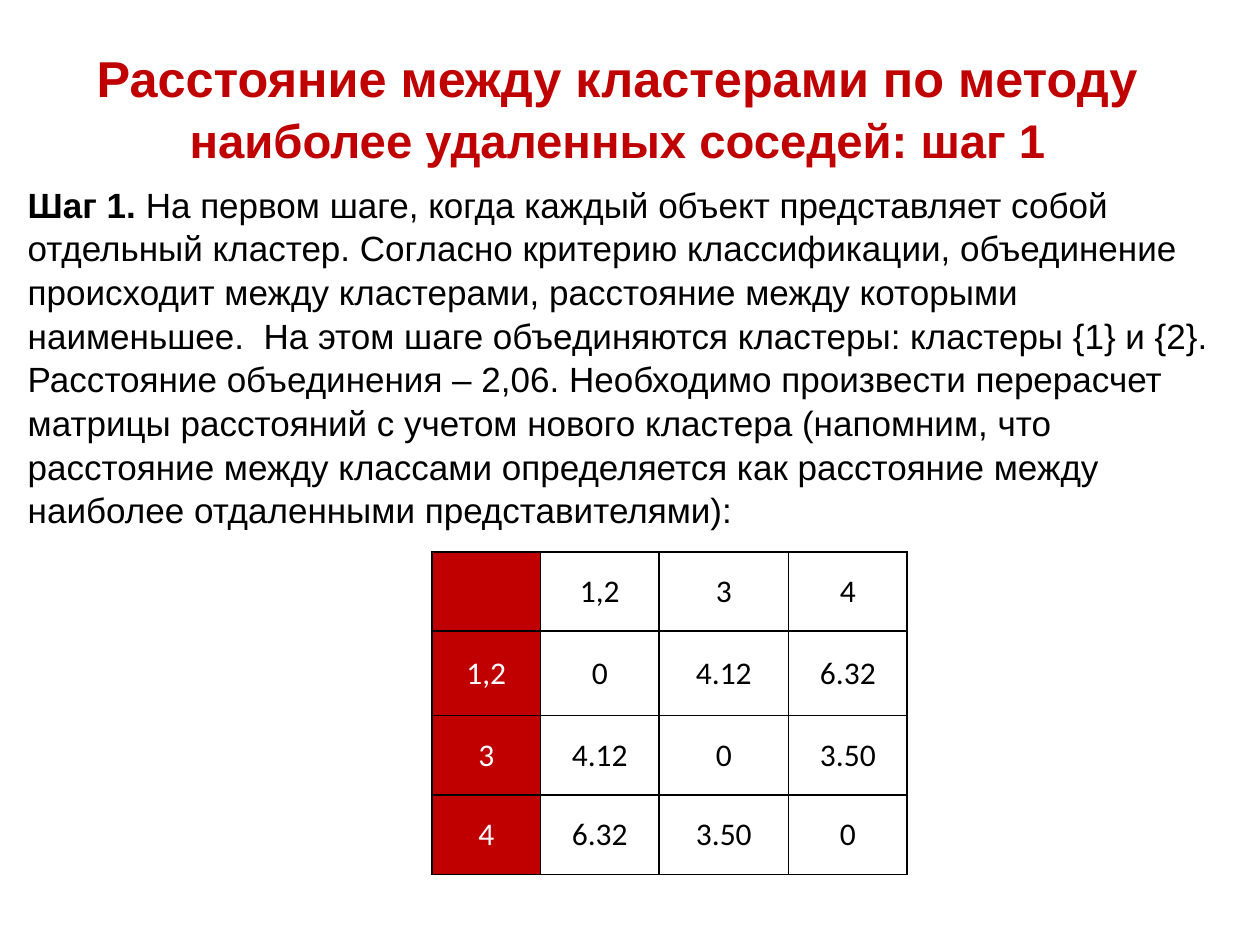
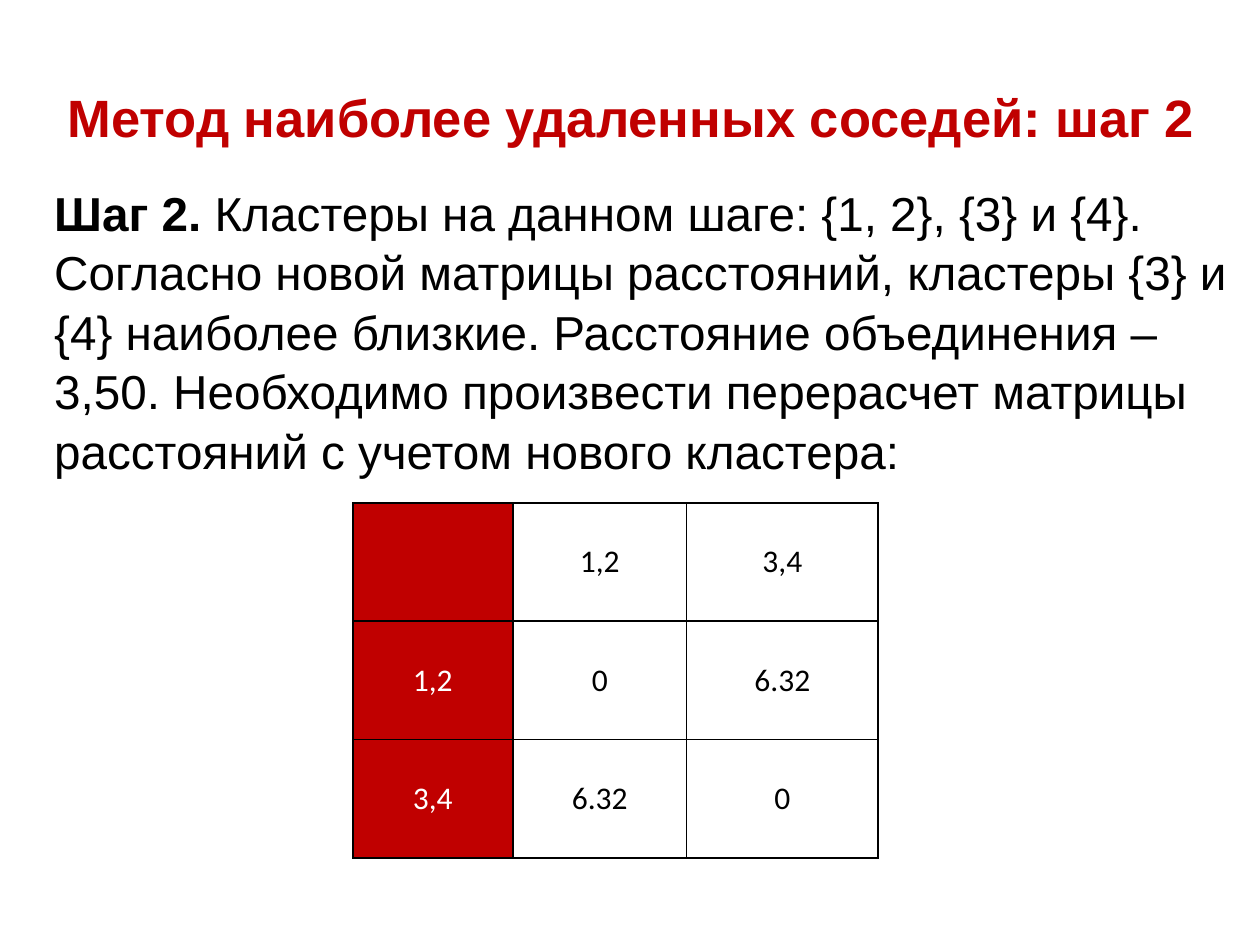
from pptx import Presentation
from pptx.dml.color import RGBColor
from pptx.enum.text import MSO_ANCHOR, MSO_AUTO_SIZE, PP_ALIGN
from pptx.oxml import parse_xml
from pptx.oxml.ns import nsdecls
from pptx.util import Inches, Pt

# Shared look
HUES = {"red": "C00000", "black": "000000", "white": "FFFFFF"}
EDGES = ("lnL", "lnR", "lnT", "lnB")

# What each slide holds: boxes in inches, runs as (text, size)
STEPS = [
    {
        "head": [("Расстояние между кластерами по методу ", 28.8),
                 ("наиболее удаленных соседей: шаг 1", 27)],
        "head_box": (0, 0.36, 9.8, 0.95),
        "lead": "Шаг 1.",
        "text": " На первом шаге, когда каждый объект представляет собой "
                "отдельный кластер. Согласно критерию классификации, "
                "объединение происходит между кластерами, расстояние между "
                "которыми наименьшее.  На этом шаге объединяются кластеры: "
                "кластеры {1} и {2}. Расстояние объединения – 2,06. "
                "Необходимо произвести перерасчет матрицы расстояний с "
                "учетом нового кластера (напомним, что расстояние между "
                "классами определяется как расстояние между наиболее "
                "отдаленными представителями):",
        "size": 20,
        "body_box": (0.12, 1.39, 9.61, 3.54),
        "spot": (3.43, 4.38),
        "cols": (0.86, 0.94, 1.03, 0.94),
        "rows": (0.63, 0.67, 0.63, 0.63),
        "names": ("1,2", "3", "4"),
        "grid": (("0", "4.12", "6.32"),
                 ("4.12", "0", "3.50"),
                 ("6.32", "3.50", "0")),
    },
    {
        "head": [("Метод наиболее удаленных соседей: шаг 2", 30)],
        "head_box": (0.02, 0.44, 9.98, 0.94),
        "lead": "Шаг 2.",
        "text": " Кластеры на данном шаге: {1, 2}, {3} и {4}. Согласно новой "
                "матрицы расстояний, кластеры {3} и {4} наиболее близкие. "
                "Расстояние объединения – 3,50. Необходимо произвести "
                "перерасчет матрицы расстояний с учетом нового кластера:",
        "size": 27.2,
        "body_box": (0.33, 1.39, 9.64, 2.44),
        "spot": (2.8, 3.99),
        "cols": (1.27, 1.38, 1.52),
        "rows": (0.94,) * 3,
        "names": ("1,2", "3,4"),
        "grid": (("0", "6.32"),
                 ("6.32", "0")),
    },
]


def place(shape, box, anchor):
    """Move a placeholder and return its first paragraph."""
    shape.left, shape.top, shape.width, shape.height = map(Inches, box)
    frame = shape.text_frame
    frame.word_wrap = True
    frame.auto_size = MSO_AUTO_SIZE.NONE
    frame.vertical_anchor = anchor
    return frame.paragraphs[0]


def style(par, face, hue):
    """Set the font that all runs of a paragraph share."""
    par.font.name = face
    par.font.color.rgb = RGBColor.from_string(HUES[hue])


deck = Presentation()
deck.slide_width, deck.slide_height = Inches(10), Inches(7.5)

for step in STEPS:
    slide = deck.slides.add_slide(deck.slide_layouts[1])

    # Title
    par = place(slide.shapes.title, step["head_box"], MSO_ANCHOR.MIDDLE)
    par.alignment = PP_ALIGN.CENTER
    par.line_spacing = 1.07
    par.font.bold = True
    style(par, "Arial", "red")
    for text, size in step["head"]:
        run = par.add_run()
        run.text = text
        run.font.size = Pt(size)

    # Body text without a bullet
    par = place(slide.placeholders[1], step["body_box"], MSO_ANCHOR.TOP)
    par.space_before = Pt(5.8)
    par.line_spacing = 1.04
    par.font.size = Pt(step["size"])
    style(par, "Arial", "black")
    props = par._p.get_or_add_pPr()
    props.set("marL", "0")
    props.set("indent", "0")
    mark = parse_xml(f"<a:buNone {nsdecls('a')}/>")
    props.insert_element_before(mark, "a:tabLst", "a:defRPr", "a:extLst")
    for text, bold in ((step["lead"], True), (step["text"], False)):
        run = par.add_run()
        run.text = text
        run.font.bold = bold

    # Distance matrix: names head both the columns and the rows
    cols, rows, names = step["cols"], step["rows"], step["names"]
    cells = [("", *names)]
    cells += [(name, *line) for name, line in zip(names, step["grid"])]
    area = (*step["spot"], sum(cols), sum(rows))
    table = slide.shapes.add_table(
        len(rows), len(cols), *map(Inches, area)).table
    table.first_row = table.horz_banding = False
    for col, width in zip(table.columns, cols):
        col.width = Inches(width)
    for row, height in zip(table.rows, rows):
        row.height = Inches(height)

    for r, line in enumerate(cells):
        for c, text in enumerate(line):
            cell = table.cell(r, c)
            cell.text = text
            cell.vertical_anchor = MSO_ANCHOR.MIDDLE
            par = cell.text_frame.paragraphs[0]
            par.alignment = PP_ALIGN.CENTER
            par.font.size = Pt(18)
            style(par, "Calibri", "black" if c else "white")
            # Borders come before the fill in the cell properties
            for edge in EDGES:
                cell._tc.get_or_add_tcPr().append(parse_xml(
                    f'<a:{edge} {nsdecls("a")} w="{Pt(1)}"><a:solidFill>'
                    f'<a:srgbClr val="{HUES["black"]}"/></a:solidFill>'
                    f'</a:{edge}>'))
            cell.fill.solid()
            cell.fill.fore_color.rgb = RGBColor.from_string(
                HUES["white" if c else "red"])

deck.save("out.pptx")
